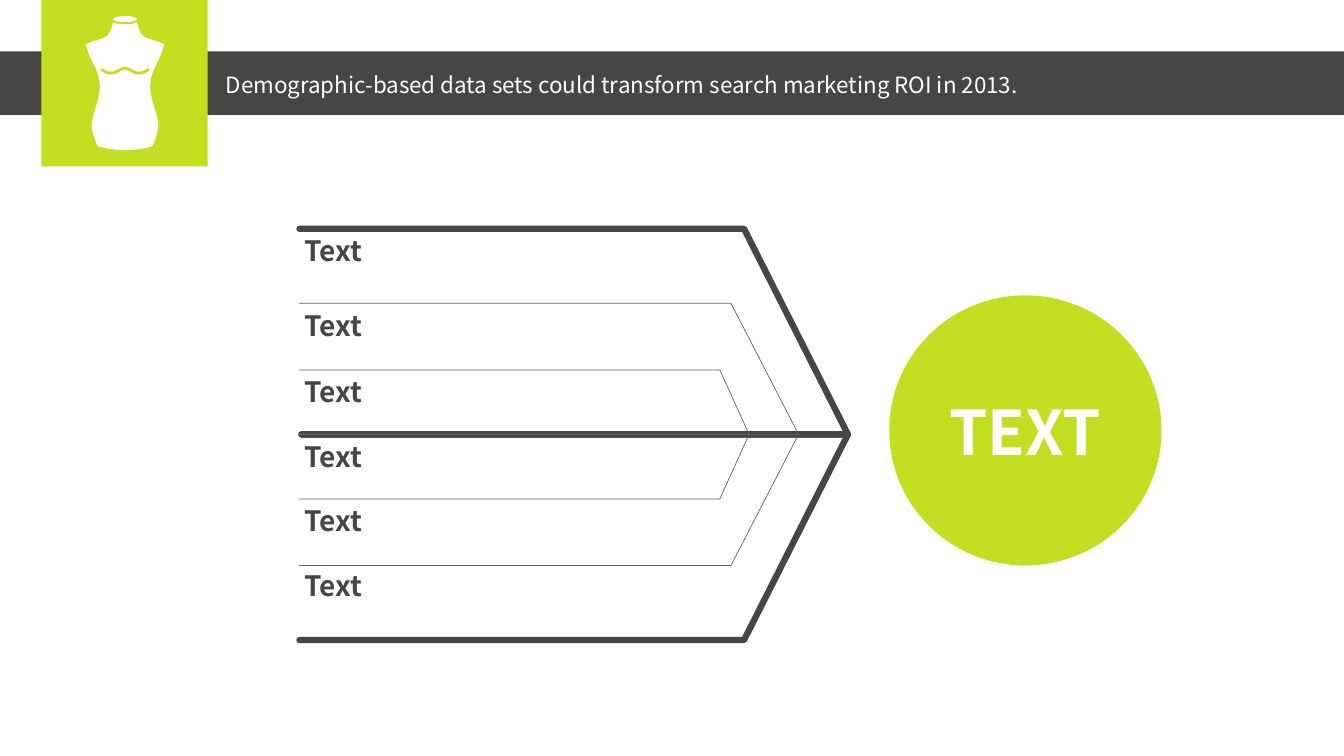
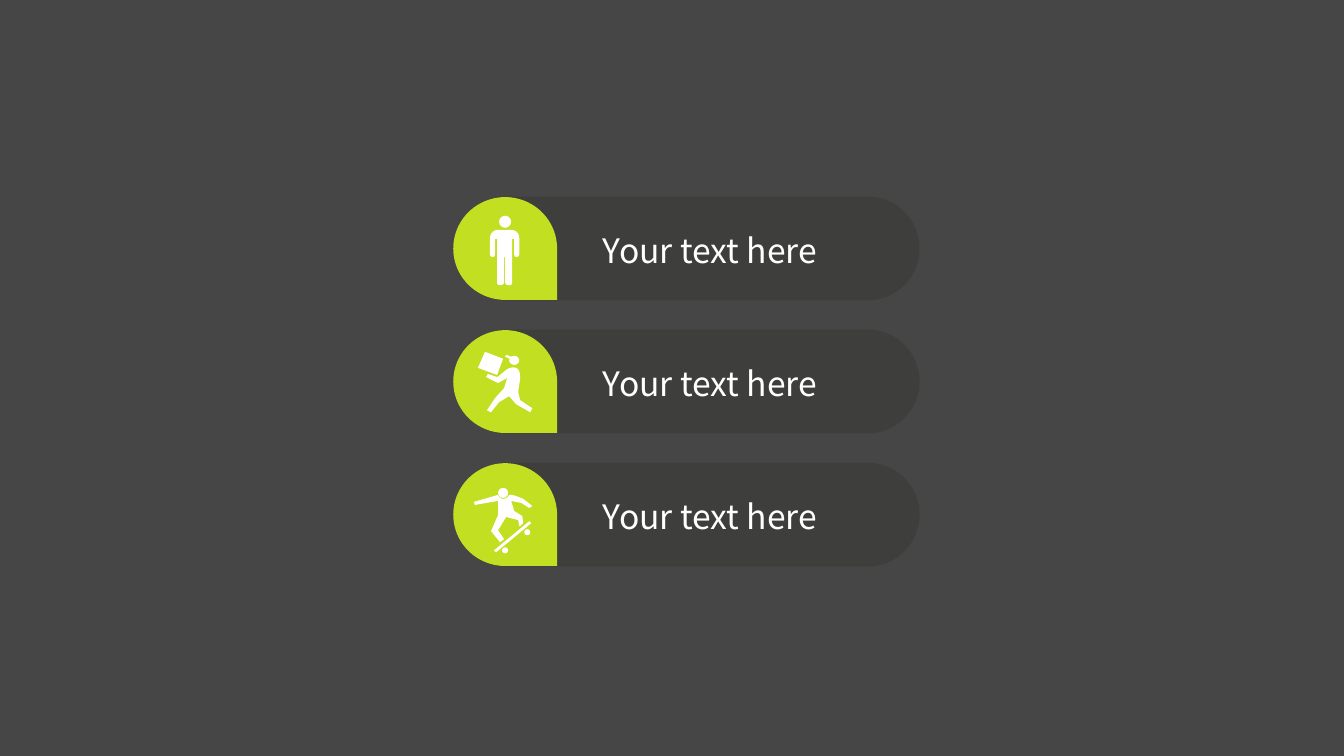
"""Builds a fishbone diagram slide and a slide with three icon buttons."""
from itertools import pairwise

from lxml.etree import SubElement
from pptx import Presentation
from pptx.dml.color import RGBColor
from pptx.enum.shapes import MSO_SHAPE as SHAPE
from pptx.enum.text import MSO_ANCHOR as ANCHOR, MSO_AUTO_SIZE as AUTO, PP_ALIGN as ALIGN
from pptx.oxml.ns import qn
from pptx.util import Inches, Pt

FONT = "Noto Sans CJK SC"
COLOURS = {name: RGBColor.from_string(value) for name, value in {
    "lime": "C3DF21", "dark": "464646", "thin": "646464",
    "pill": "3E3E3D", "white": "FFFFFF"}.items()}


def add_box(page, kind, at, fill=None, text="", size=16, colour="white",
            bold=False, inset=0.1, centred=False, grow=False):
    place = [Inches(length) for length in at]
    if kind is None:
        box = page.shapes.add_textbox(*place)
    else:
        box = page.shapes.add_shape(kind, *place)
        box.shadow.inherit = False
        box.fill.solid()
        box.fill.fore_color.rgb = COLOURS[fill]
        box.line.fill.background()
    if text:
        frame = box.text_frame
        frame.word_wrap = not centred
        frame.auto_size = AUTO.SHAPE_TO_FIT_TEXT if grow else AUTO.NONE
        frame.vertical_anchor = ANCHOR.MIDDLE if centred else ANCHOR.TOP
        frame.margin_left = frame.margin_right = Inches(inset)
        frame.margin_top = frame.margin_bottom = Inches(0.05)
        para = frame.paragraphs[0]
        para.alignment = ALIGN.CENTER if centred else ALIGN.LEFT
        span = para.add_run()
        span.text = text
        span.font.name, span.font.size, span.font.bold = FONT, Pt(size), bold
        span.font.color.rgb = COLOURS[colour]
    return box


def add_outline(page, steps, colour, mirror=None, line=None):
    """Join points and cubic curves; mirror is the sum of x on both sides."""
    points = [steps[0]]
    for step in steps[1:]:
        if len(step) == 2:
            points.append(step)
            continue
        x0, y0 = points[-1]
        x1, y1, x2, y2, x3, y3 = step
        for t in (0.2, 0.4, 0.6, 0.8, 1):
            a, b, c, d = (1 - t) ** 3, 3 * t * (1 - t) ** 2, 3 * t * t * (1 - t), t ** 3
            points.append((a * x0 + b * x1 + c * x2 + d * x3,
                           a * y0 + b * y1 + c * y2 + d * y3))
    if mirror:
        points += [(mirror - x, y) for x, y in reversed(points)]
    corners = [(Inches(x), Inches(y)) for x, y in points]
    builder = page.shapes.build_freeform(*corners[0], scale=1.0)
    builder.add_line_segments(corners[1:], close=line is None)
    shape = builder.convert_to_shape()
    shape.shadow.inherit = False
    if line is None:
        shape.fill.solid()
        shape.fill.fore_color.rgb = COLOURS[colour]
        shape.line.fill.background()
    else:
        shape.fill.background()
        shape.line.color.rgb = COLOURS[colour]
        shape.line.width = Pt(line)
        stroke = shape.element.spPr.find(qn("a:ln"))
        stroke.set("cap", "rnd")
        SubElement(stroke, qn("a:round"))


deck = Presentation()
deck.slide_width, deck.slide_height = Inches(13.33), Inches(7.5)
blank = deck.slide_layouts[6]

page = deck.slides.add_slide(blank)
add_box(page, SHAPE.RECTANGLE, (0, 0.51, 13.33, 0.63), "dark")
add_box(page, SHAPE.RECTANGLE, (0.41, 0, 1.65, 1.65), "lime")

SPINE = 4.31
for side in (1, -1):
    for rise, corner, tip, start, colour, width in (
            (2.04, 7.38, 8.41, 2.99, "dark", 4.5),
            (1.3, 7.25, 7.92, 2.97, "thin", 0.5),
            (0.64, 7.14, 7.43, 2.97, "thin", 0.5)):
        edge = SPINE + side * rise
        add_outline(page, [(2.97, edge), (corner, edge), (tip, SPINE), (start, SPINE)],
                    colour, line=width)

for top, bottom in pairwise((2.27, 3.01, 3.67, 4.31, 4.95, 5.59, 6.33)):
    add_box(page, None, (2.97, top, 4.18, bottom - top), text="Text", size=20,
            colour="dark", bold=True, inset=0.05)
add_box(page, SHAPE.OVAL, (8.82, 2.93, 2.7, 2.68), "lime", "TEXT", 44,
        bold=True, inset=0.05, centred=True)

add_box(page, SHAPE.OVAL, (1.12, 0.16, 0.24, 0.06), "white")
add_outline(page, [
    (1.24, 0.24), (1.27, 0.24, 1.33, 0.24, 1.36, 0.22),
    (1.37, 0.27, 1.39, 0.35, 1.44, 0.37), (1.49, 0.39, 1.52, 0.4, 1.56, 0.41),
    (1.58, 0.42, 1.6, 0.43, 1.63, 0.44), (1.62, 0.46, 1.61, 0.53, 1.55, 0.64),
    (1.5, 0.73, 1.49, 0.8, 1.49, 0.86), (1.49, 0.91, 1.5, 0.95, 1.51, 0.99),
    (1.51, 1.01, 1.52, 1.03, 1.53, 1.06), (1.54, 1.11, 1.57, 1.17, 1.57, 1.24),
    (1.57, 1.3, 1.55, 1.37, 1.51, 1.45), (1.48, 1.46, 1.38, 1.49, 1.24, 1.49),
], "white", mirror=2.48)
add_outline(page, [(1.01, 0.69), (1.02, 0.7, 1.1, 0.76, 1.18, 0.7),
                   (1.19, 0.69, 1.21, 0.68, 1.24, 0.68)],
            "lime", mirror=2.48, line=2)
add_box(page, None, (2.14, 0.66, 9.64, 0.37), grow=True,
        text="Demographic-based data sets could transform search marketing ROI in 2013.")

page = deck.slides.add_slide(blank)
page.background.fill.solid()
page.background.fill.fore_color.rgb = COLOURS["dark"]
for row in range(3):
    top = 1.95 + 1.32 * row
    pill = add_box(page, SHAPE.ROUNDED_RECTANGLE, (4.5, top, 4.62, 1.03), "pill")
    pill.adjustments[0] = 0.5
    drop = add_box(page, SHAPE.TEAR, (4.5, top, 1.02, 1.03), "lime")
    drop.rotation = 90
    add_box(page, None, (5.88, top + 0.28, 3.26, 0.5), text="Your text here",
            size=24, grow=True)

heads = [(4.95, 2.14, 0.12, 0.12), (5.05, 3.53, 0.1, 0.09), (4.94, 4.84, 0.1, 0.1)]
wheels = [(4.98, 5.43, 0.06, 0.06), (5.2, 5.25, 0.06, 0.06)]
for at in heads + wheels:
    add_box(page, SHAPE.OVAL, at, "white")

add_outline(page, [
    (5, 2.28), (5.07, 2.28), (5.11, 2.28, 5.15, 2.31, 5.15, 2.36), (5.15, 2.52),
    (5.15, 2.54, 5.14, 2.55, 5.12, 2.55), (5.11, 2.55, 5.1, 2.54, 5.1, 2.52),
    (5.1, 2.37), (5.08, 2.37), (5.08, 2.8), (5.08, 2.82, 5.07, 2.83, 5.05, 2.83),
    (5.03, 2.83, 5.01, 2.82, 5.01, 2.8), (5.01, 2.55),
], "white", mirror=10.01)

courier = [
    (5.16, 3.97), (5.14, 3.89), (5.14, 3.88, 5.15, 3.82, 5.16, 3.75),
    (5.16, 3.7, 5.15, 3.66, 5.12, 3.65), (5.12, 3.65, 5.07, 3.63, 5.02, 3.67),
    (4.96, 3.72, 4.94, 3.74, 4.93, 3.74), (4.84, 3.71), (4.82, 3.74), (4.94, 3.8),
    (5.03, 3.75), (5, 3.85), (4.91, 3.95), (4.83, 4.07), (4.87, 4.09), (4.95, 3.99),
    (5.05, 3.93), (5.12, 4.01), (5.26, 4.09), (5.28, 4.05)]
parcel = [(4.81, 3.49), (4.74, 3.65), (4.93, 3.72), (4.99, 3.56)]
visor = [(5.02, 3.52), (5.07, 3.54), (5.1, 3.53), (5.06, 3.56), (5.01, 3.54)]
board = [(4.9, 5.46), (4.92, 5.48), (5.27, 5.19), (5.25, 5.17)]
skater = [
    (4.94, 5.26), (5.02, 5.13), (5.14, 5.16), (5.15, 5.22), (5.16, 5.22), (5.19, 5.19),
    (5.18, 5.12), (5.1, 5.07), (5.07, 4.97), (5.17, 4.99), (5.25, 5.04), (5.28, 5.02),
    (5.19, 4.95), (5.19, 4.95, 5.12, 4.92, 5.08, 4.91), (5.05, 4.91),
    (5.04, 4.93, 5.02, 4.95, 4.99, 4.95), (4.97, 4.95, 4.95, 4.93, 4.94, 4.91),
    (4.7, 4.98), (4.71, 5.01), (4.94, 4.97), (4.94, 5.11), (4.87, 5.27), (4.96, 5.38),
    (5, 5.35)]
for figure in (courier, parcel, visor, board, skater):
    add_outline(page, figure, "white")

deck.save("out.pptx")
